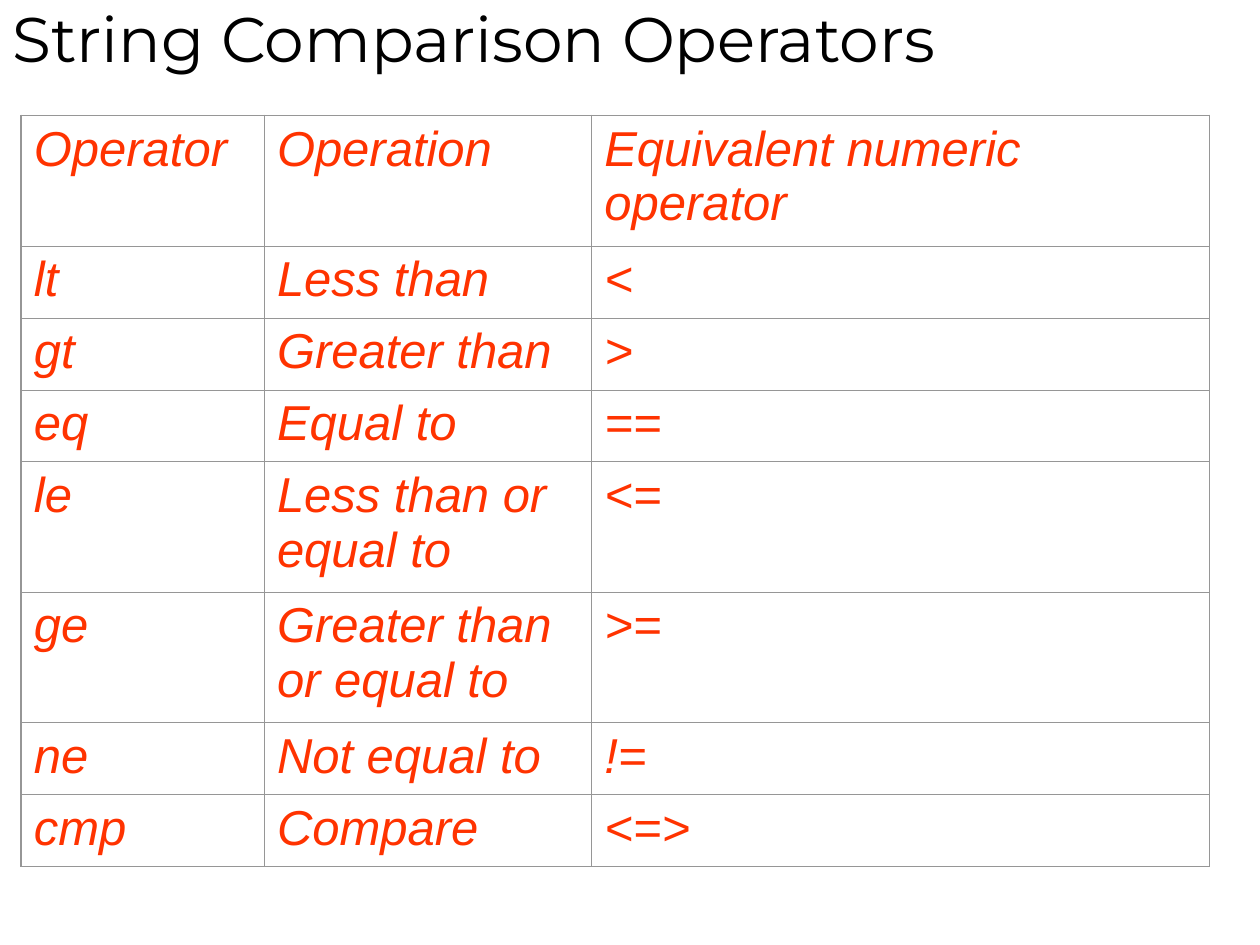
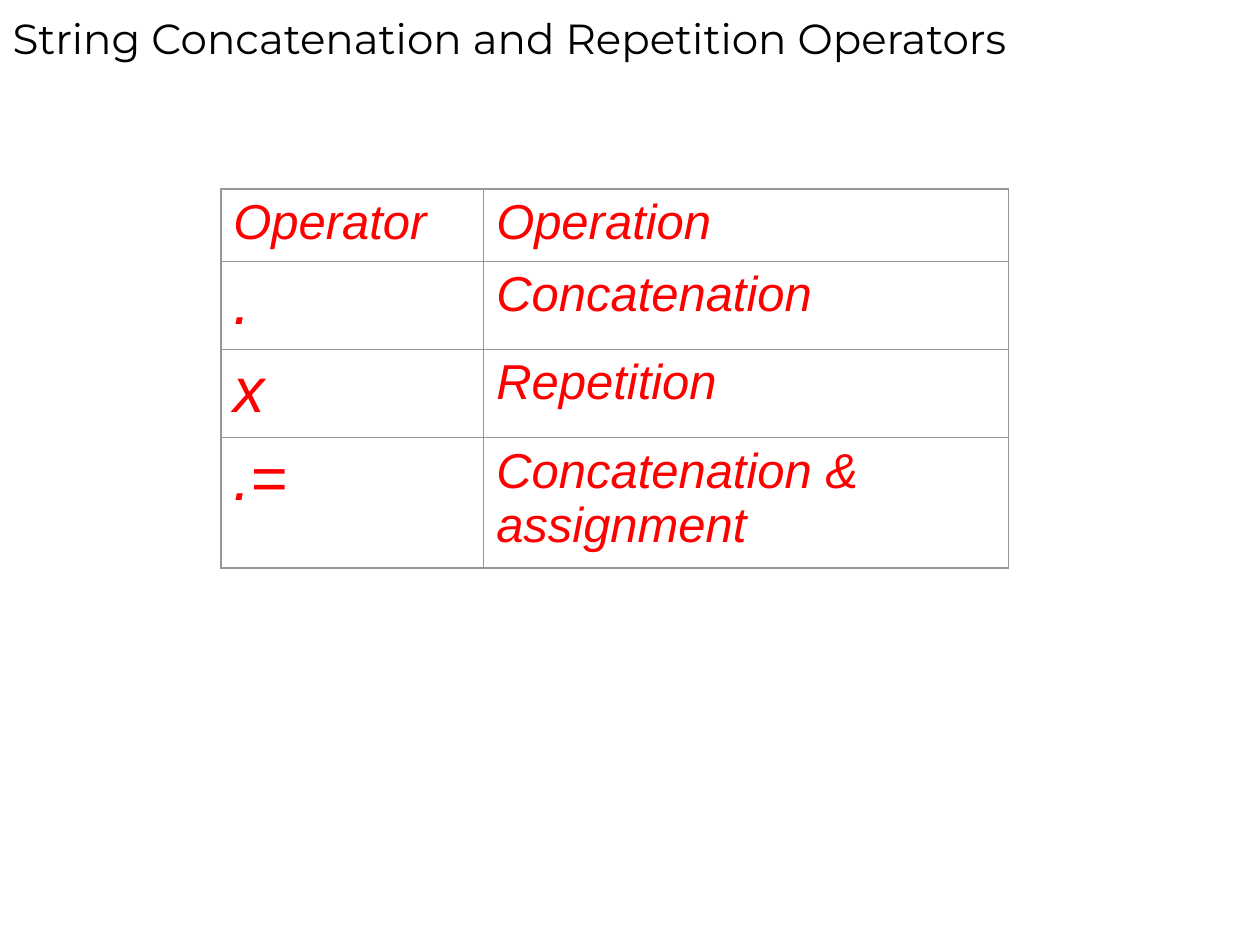
from lxml.etree import SubElement
from pptx import Presentation
from pptx.dml.color import RGBColor
from pptx.enum.text import MSO_ANCHOR, MSO_AUTO_SIZE, PP_ALIGN
from pptx.oxml.ns import qn
from pptx.util import Cm, Pt

COLORS = {"title": "000000", "orange": "FF3300", "red": "FF0000", "rule": "969696"}
TITLE_FONT, TABLE_FONT = "Montserrat", "Arial"
OUTER, INNER = 1.08, 0.45  # border widths in points
ONE_LINE, LARGE_LINE, TWO_LINES = 1.45, 1.78, 2.63  # row heights in cm

COMPARISON = [
    ("Operator", "Operation", "Equivalent numeric operator"),
    ("lt", "Less than", "<"),
    ("gt", "Greater than", ">"),
    ("eq", "Equal to", "=="),
    ("le", "Less than or equal to", "<="),
    ("ge", "Greater than or equal to", ">="),
    ("ne", "Not equal to", "!="),
    ("cmp", "Compare", "<=>"),
]
CONCATENATION = [
    ("Operator", "Operation"),
    (".", "Concatenation"),
    ("x", "Repetition"),
    (".=", "Concatenation & assignment"),
]


def write(tf, text, *, size, font, color, italic=False):
    """Put one formatted, left-aligned paragraph in a text frame."""
    p = tf.paragraphs[0]
    p.alignment = PP_ALIGN.LEFT
    p.space_before = Pt(0)
    r = p.add_run()
    r.text = text
    r.font.size = Pt(size)
    r.font.name = font
    r.font.italic = italic
    r.font.color.rgb = RGBColor.from_string(COLORS[color])


def add_titled_slide(prs, title, size):
    s = prs.slides.add_slide(prs.slide_layouts[5])
    sp = s.shapes.title
    sp.left, sp.top, sp.width, sp.height = Cm(0), Cm(-0.2), prs.slide_width, Cm(1.9)
    tf = sp.text_frame
    tf.word_wrap = True
    tf.auto_size = MSO_AUTO_SIZE.NONE
    tf.vertical_anchor = MSO_ANCHOR.MIDDLE
    write(tf, title, size=size, font=TITLE_FONT, color="title")
    return s


def set_borders(cell, **widths):
    """Draw the cell's sides, given as L, R, T and B in schema order."""
    tc_pr = cell._tc.get_or_add_tcPr()
    for side, width in widths.items():
        ln = SubElement(tc_pr, qn(f"a:ln{side}"), w=str(Pt(width)))
        fill = SubElement(ln, qn("a:solidFill"))
        SubElement(fill, qn("a:srgbClr"), val=COLORS["rule"])


def add_operator_table(s, rows, left, top, widths, heights, color, symbol_size=28):
    """Add a ruled table; symbol_size applies to the operators below the header."""
    table = s.shapes.add_table(len(rows), len(widths), Cm(left), Cm(top),
                               Cm(sum(widths)), Cm(sum(heights))).table
    table.first_row = table.horz_banding = False
    for column, width in zip(table.columns, widths):
        column.width = Cm(width)
    for row, height in zip(table.rows, heights):
        row.height = Cm(height)

    last_row, last_col = len(rows) - 1, len(widths) - 1
    for i, texts in enumerate(rows):
        for j, text in enumerate(texts):
            cell = table.cell(i, j)
            set_borders(cell,
                        L=OUTER if j == 0 else INNER,
                        R=OUTER if j == last_col else INNER,
                        T=OUTER if i == 0 else INNER,
                        B=OUTER if i == last_row else INNER)
            cell.fill.background()
            size = symbol_size if i > 0 and j == 0 else 28
            write(cell.text_frame, text, size=size, font=TABLE_FONT,
                  color=color, italic=True)


def main():
    prs = Presentation()
    prs.slide_width, prs.slide_height = Cm(25.4), Cm(19.05)

    # Comparison operators
    s = add_titled_slide(prs, "String Comparison Operators", 36)
    heights = [TWO_LINES if i in (0, 4, 5) else ONE_LINE for i in range(len(COMPARISON))]
    add_operator_table(s, COMPARISON, 0.43, 2.33, [4.9, 6.6, 12.45], heights, "orange")

    # Concatenation and repetition operators
    s = add_titled_slide(prs, "String Concatenation and Repetition Operators", 24)
    heights = [ONE_LINE, LARGE_LINE, LARGE_LINE, TWO_LINES]
    add_operator_table(s, CONCATENATION, 4.45, 3.81, [5.3, 10.58], heights, "red",
                       symbol_size=36)

    prs.save("out.pptx")


if __name__ == "__main__":
    main()
